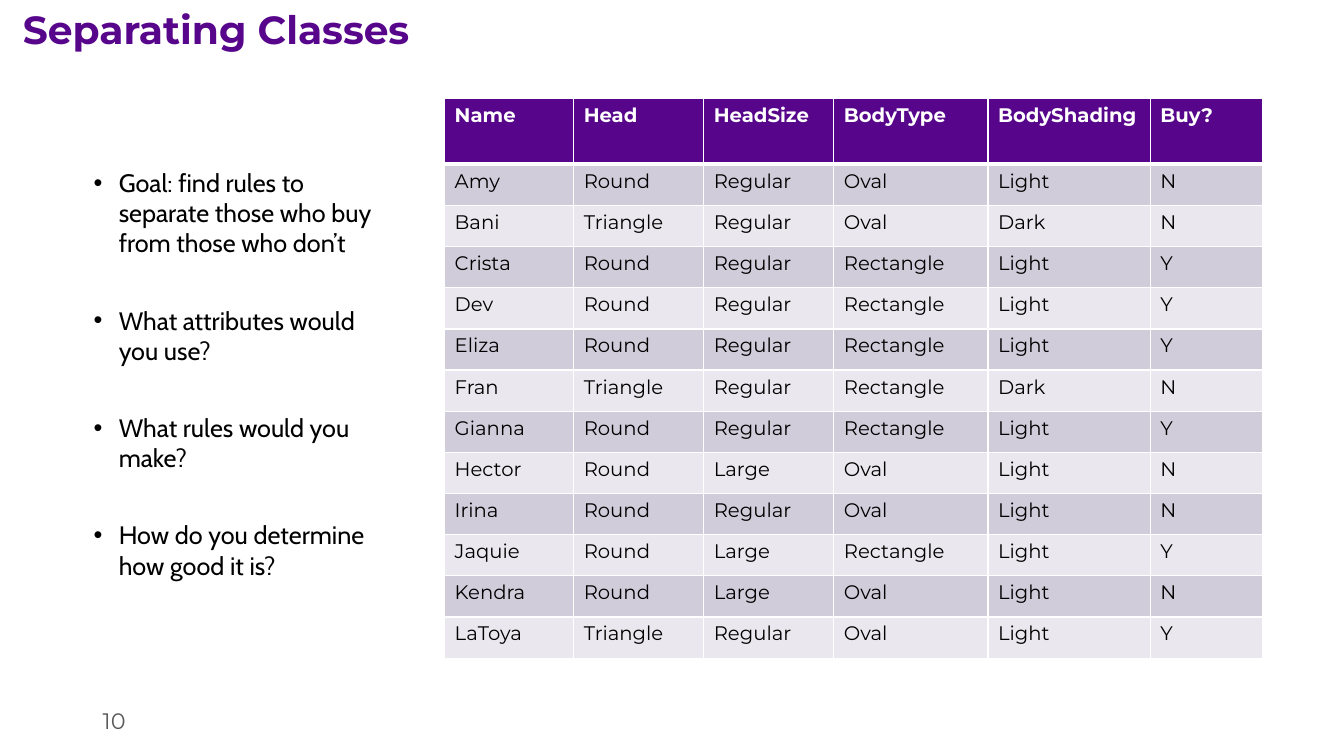
import lxml.etree
import pptx
import pptx.dml.color
import pptx.enum.text
import pptx.oxml.ns
import pptx.util

Inches = pptx.util.Inches
Pt = pptx.util.Pt
qn = pptx.oxml.ns.qn
MIDDLE = pptx.enum.text.MSO_ANCHOR.MIDDLE

HEADINGS = ["Name", "Head", "HeadSize", "BodyType", "BodyShading", "Buy?"]
CUSTOMERS = [
    ["Amy", "Round", "Regular", "Oval", "Light", "N"],
    ["Bani", "Triangle", "Regular", "Oval", "Dark", "N"],
    ["Crista", "Round", "Regular", "Rectangle", "Light", "Y"],
    ["Dev", "Round", "Regular", "Rectangle", "Light", "Y"],
    ["Eliza", "Round", "Regular", "Rectangle", "Light", "Y"],
    ["Fran", "Triangle", "Regular", "Rectangle", "Dark", "N"],
    ["Gianna", "Round", "Regular", "Rectangle", "Light", "Y"],
    ["Hector", "Round", "Large", "Oval", "Light", "N"],
    ["Irina", "Round", "Regular", "Oval", "Light", "N"],
    ["Jaquie", "Round", "Large", "Rectangle", "Light", "Y"],
    ["Kendra", "Round", "Large", "Oval", "Light", "N"],
    ["LaToya", "Triangle", "Regular", "Oval", "Light", "Y"],
]
COLUMN_WIDTHS = [1.28, 1.29, 1.29, 1.53, 1.61, 1.11]
QUESTIONS = [
    "Goal: find rules to separate those who buy from those who don’t",
    "What attributes would you use?",
    "What rules would you make?",
    "How do you determine how good it is?",
]


def color(value):
    return pptx.dml.color.RGBColor.from_string(value)


def write(paragraph, text, size=14, font="Montserrat", ink="000000", bold=False,
          bullet=None, before=0, spacing=None):
    if bullet:
        properties = paragraph._p.get_or_add_pPr()
        properties.set("marL", str(Inches(0.25)))
        properties.set("indent", str(-Inches(0.25)))
        lxml.etree.SubElement(properties, qn("a:buFont"), typeface="Arial")
        lxml.etree.SubElement(properties, qn("a:buChar"), char=bullet)
    if before:
        paragraph.space_before = Pt(before)
    if spacing:
        paragraph.line_spacing = spacing
    run = paragraph.add_run()
    run.text = text
    run.font.size = Pt(size)
    run.font.name = font
    run.font.bold = bold
    run.font.color.rgb = color(ink)


class ClassesSlide:
    purple = "57068C"
    white = "FFFFFF"
    bands = ["D1CCDA", "EAE7EE"]

    def __init__(self, presentation):
        self.slide = presentation.slides.add_slide(presentation.slide_layouts[6])

    def text(self, left, top, width, height, lines, anchor=None, gap=0, **style):
        box = self.slide.shapes.add_textbox(
            Inches(left), Inches(top), Inches(width), Inches(height))
        frame = box.text_frame
        frame.word_wrap = True
        frame.vertical_anchor = anchor
        for index, line in enumerate(lines):
            paragraph = frame.add_paragraph() if index else frame.paragraphs[0]
            write(paragraph, line, before=gap if index else 0, **style)

    def border(self, cell, side, width):
        line = lxml.etree.SubElement(
            cell._tc.get_or_add_tcPr(), qn("a:ln" + side), w=str(Pt(width)))
        fill = lxml.etree.SubElement(line, qn("a:solidFill"))
        lxml.etree.SubElement(fill, qn("a:srgbClr"), val=self.white)

    def cell(self, cell, text, fill, top, bottom, **style):
        for side, width in (("L", 1), ("R", 1), ("T", top), ("B", bottom)):
            self.border(cell, side, width)
        cell.fill.solid()
        cell.fill.fore_color.rgb = color(fill)
        write(cell.text_frame.paragraphs[0], text, **style)

    def table(self, left, top, widths, height, header_height, headings, records):
        table = self.slide.shapes.add_table(
            len(records) + 1, len(headings), Inches(left), Inches(top),
            Inches(sum(widths)), Inches(height)).table
        for column, width in zip(table.columns, widths):
            column.width = Inches(width)
        for row in table.rows:
            row.height = Inches((height - header_height) / len(records))
        table.rows[0].height = Inches(header_height)
        for index, heading in enumerate(headings):
            self.cell(table.cell(0, index), heading, self.purple, 1, 3,
                      ink=self.white, bold=True)
        for number, record in enumerate(records, 1):
            band = self.bands[(number - 1) % 2]
            for index, value in enumerate(record):
                self.cell(table.cell(number, index), value, band,
                          3 if number == 1 else 1, 1)


def main():
    presentation = pptx.Presentation()
    presentation.slide_width = Inches(13.33)
    presentation.slide_height = Inches(7.5)
    page = ClassesSlide(presentation)
    page.text(0.92, 6.95, 1.48, 0.4, ["10"], anchor=MIDDLE, size=16, ink="595959")
    page.text(0.83, 1.61, 3.13, 4.62, QUESTIONS, gap=33.5, size=18,
              font="Cabin", bullet="•")
    page.text(0.13, 0.05, 9, 0.54, ["Separating Classes"], anchor=MIDDLE, size=28,
              ink=page.purple, bold=True, spacing=0.9)
    page.table(4.41, 0.98, COLUMN_WIDTHS, 5.55, 0.65, HEADINGS, CUSTOMERS)
    presentation.save("out.pptx")


if __name__ == "__main__":
    main()
